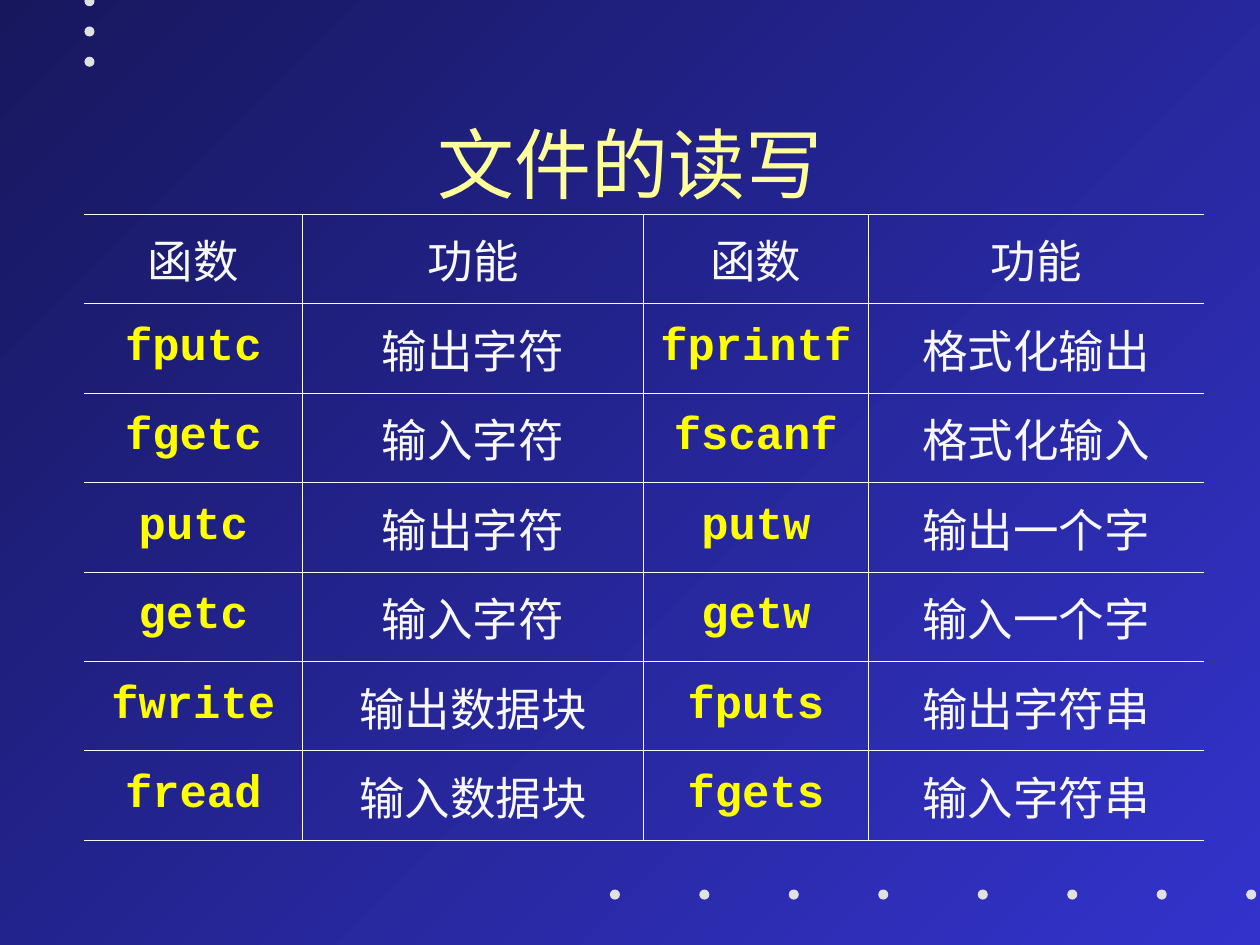
"""Build the slide that lists the file reading and writing functions."""
import pptx
import pptx.dml.color
import pptx.enum.shapes
import pptx.enum.text
import pptx.oxml
import pptx.oxml.ns
import pptx.util

Inches = pptx.util.Inches
Pt = pptx.util.Pt

TITLE = "文件的读写"
ROWS = [
    ("函数", "功能", "函数", "功能"),
    ("fputc", "输出字符", "fprintf", "格式化输出"),
    ("fgetc", "输入字符", "fscanf", "格式化输入"),
    ("putc", "输出字符", "putw", "输出一个字"),
    ("getc", "输入字符", "getw", "输入一个字"),
    ("fwrite", "输出数据块", "fputs", "输出字符串"),
    ("fread", "输入数据块", "fgets", "输入字符串"),
]
COLUMN_WIDTHS = (1.73, 2.71, 1.78, 2.67)
ROW_HEIGHT = 0.71
TABLE_LEFT, TABLE_TOP = 0.67, 1.7
DOT_SIZE = 0.08
DOT_RUNS = [
    {"start": (0.67, -0.03), "step": (0, 0.24), "count": 3},
    {"start": (4.84, 7.06), "step": (0.71, 0), "count": 4},
    {"start": (7.76, 7.06), "step": (0.71, 0), "count": 4},
]

THEME = {
    "gradient": ("3333CC", "17175E"),
    "gradient_angle": 135,
    "dot": "E1E1E1",
    "border": "F8F8F8",
    "border_width": 0.45,
    "title": {"name": "Times New Roman", "size": Pt(44), "bold": False, "color": "FFFF99"},
    "label": {"name": "Times New Roman", "size": Pt(26), "bold": False, "color": "F8F8F8"},
    "code": {"name": "Courier New", "size": Pt(26), "bold": True, "color": "FFFF00"},
}


def rgb(value):
    return pptx.dml.color.RGBColor.from_string(value)


def write_centered(text_frame, text, style):
    paragraph = text_frame.paragraphs[0]
    paragraph.alignment = pptx.enum.text.PP_ALIGN.CENTER
    run = paragraph.add_run()
    run.text = text
    for name, value in style.items():
        if name == "color":
            run.font.color.rgb = rgb(value)
        else:
            setattr(run.font, name, value)


def set_borders(cell, visible_sides):
    properties = cell._tc.get_or_add_tcPr()
    for position, side in enumerate("LRTB"):
        fill = "<a:noFill/>"
        if side in visible_sides:
            fill = f'<a:solidFill><a:srgbClr val="{THEME["border"]}"/></a:solidFill>'
        line = pptx.oxml.parse_xml(
            f'<a:ln{side} {pptx.oxml.ns.nsdecls("a")} w="{Pt(THEME["border_width"])}">'
            f"{fill}</a:ln{side}>"
        )
        properties.insert(position, line)


def set_background(slide):
    fill = slide.background.fill
    fill.gradient()
    fill.gradient_angle = THEME["gradient_angle"]
    for stop, color in zip(fill.gradient_stops, THEME["gradient"]):
        stop.color.rgb = rgb(color)


def add_dots(slide):
    for dots in DOT_RUNS:
        (left, top), (step_x, step_y) = dots["start"], dots["step"]
        for index in range(dots["count"]):
            shape = slide.shapes.add_shape(
                pptx.enum.shapes.MSO_SHAPE.OVAL,
                Inches(left + index * step_x), Inches(top + index * step_y),
                Inches(DOT_SIZE), Inches(DOT_SIZE),
            )
            shape.shadow.inherit = False
            shape.fill.solid()
            shape.fill.fore_color.rgb = rgb(THEME["dot"])
            shape.line.fill.background()


def add_title(slide):
    title = slide.shapes.title
    box = {"left": 0.75, "top": 0.67, "width": 8.5, "height": 1.25}
    for name, value in box.items():
        setattr(title, name, Inches(value))
    title.text_frame.vertical_anchor = pptx.enum.text.MSO_ANCHOR.MIDDLE
    write_centered(title.text_frame, TITLE, THEME["title"])


def add_function_table(slide):
    table = slide.shapes.add_table(
        len(ROWS), len(COLUMN_WIDTHS), Inches(TABLE_LEFT), Inches(TABLE_TOP),
        Inches(sum(COLUMN_WIDTHS)), Inches(ROW_HEIGHT * len(ROWS)),
    ).table
    table.first_row = False
    table.horz_banding = False
    for column, width in zip(table.columns, COLUMN_WIDTHS):
        column.width = Inches(width)
    last_column = len(COLUMN_WIDTHS) - 1
    for row_index, texts in enumerate(ROWS):
        table.rows[row_index].height = Inches(ROW_HEIGHT)
        for column_index, text in enumerate(texts):
            cell = table.cell(row_index, column_index)
            cell.fill.background()
            cell.vertical_anchor = pptx.enum.text.MSO_ANCHOR.MIDDLE
            is_code = row_index > 0 and column_index % 2 == 0
            write_centered(cell.text_frame, text, THEME["code" if is_code else "label"])
            left_side = "L" if column_index > 0 else ""
            right_side = "R" if column_index < last_column else ""
            set_borders(cell, "TB" + left_side + right_side)


def main():
    presentation = pptx.Presentation()
    presentation.slide_width = Inches(10)
    presentation.slide_height = Inches(7.5)
    slide = presentation.slides.add_slide(presentation.slide_layouts.get_by_name("Title Only"))
    set_background(slide)
    add_dots(slide)
    add_title(slide)
    add_function_table(slide)
    presentation.save("out.pptx")


if __name__ == "__main__":
    main()
